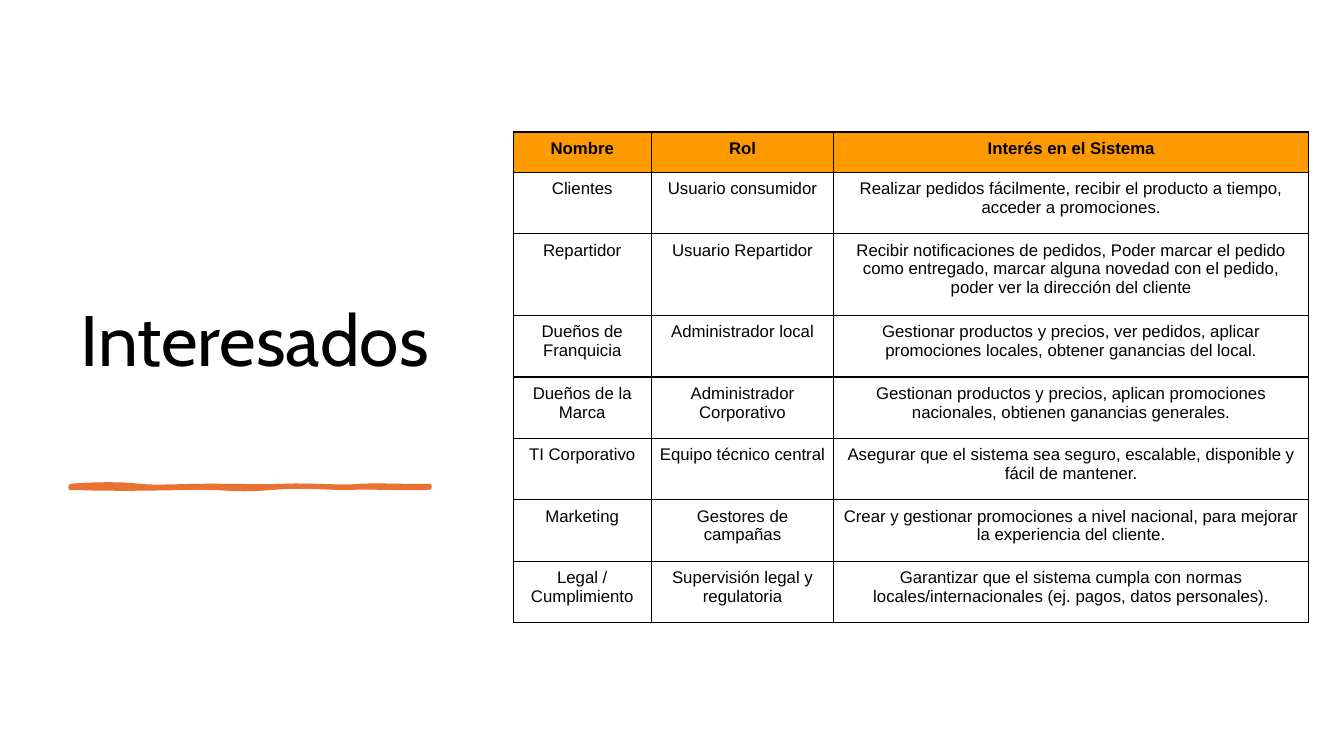
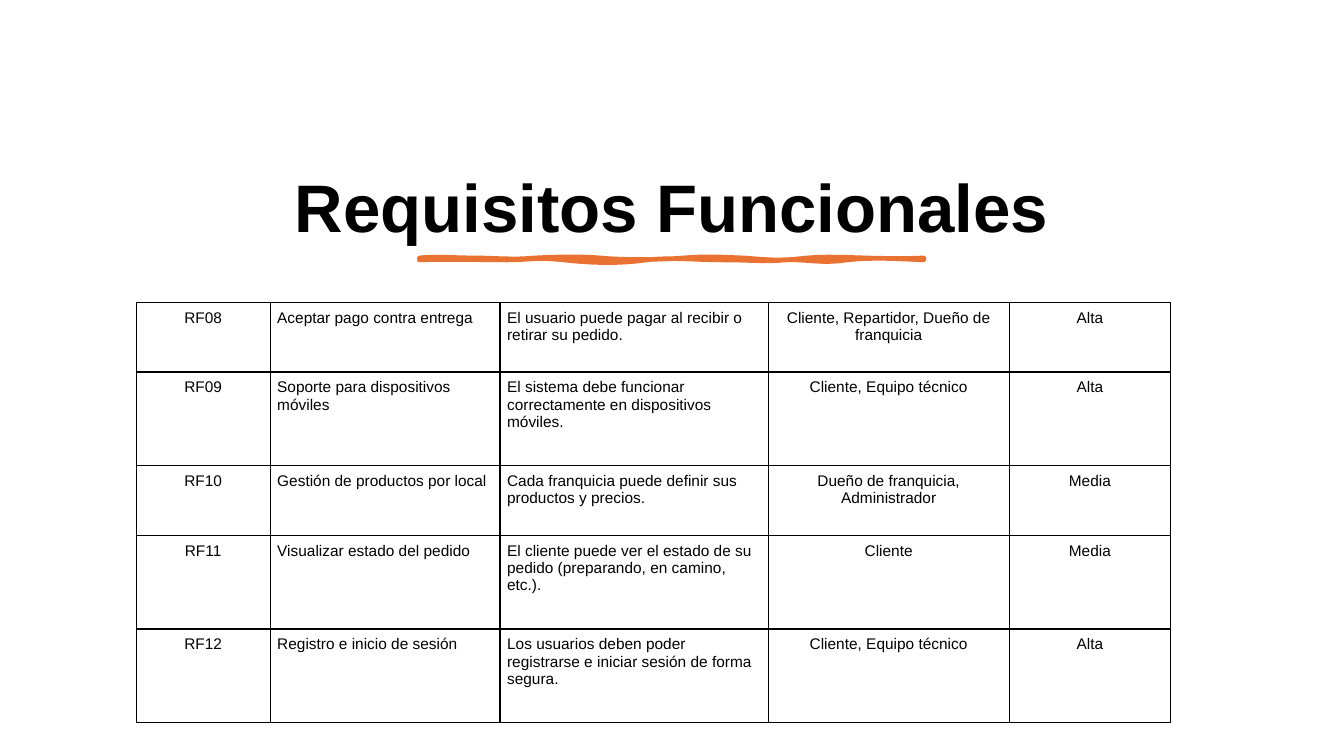
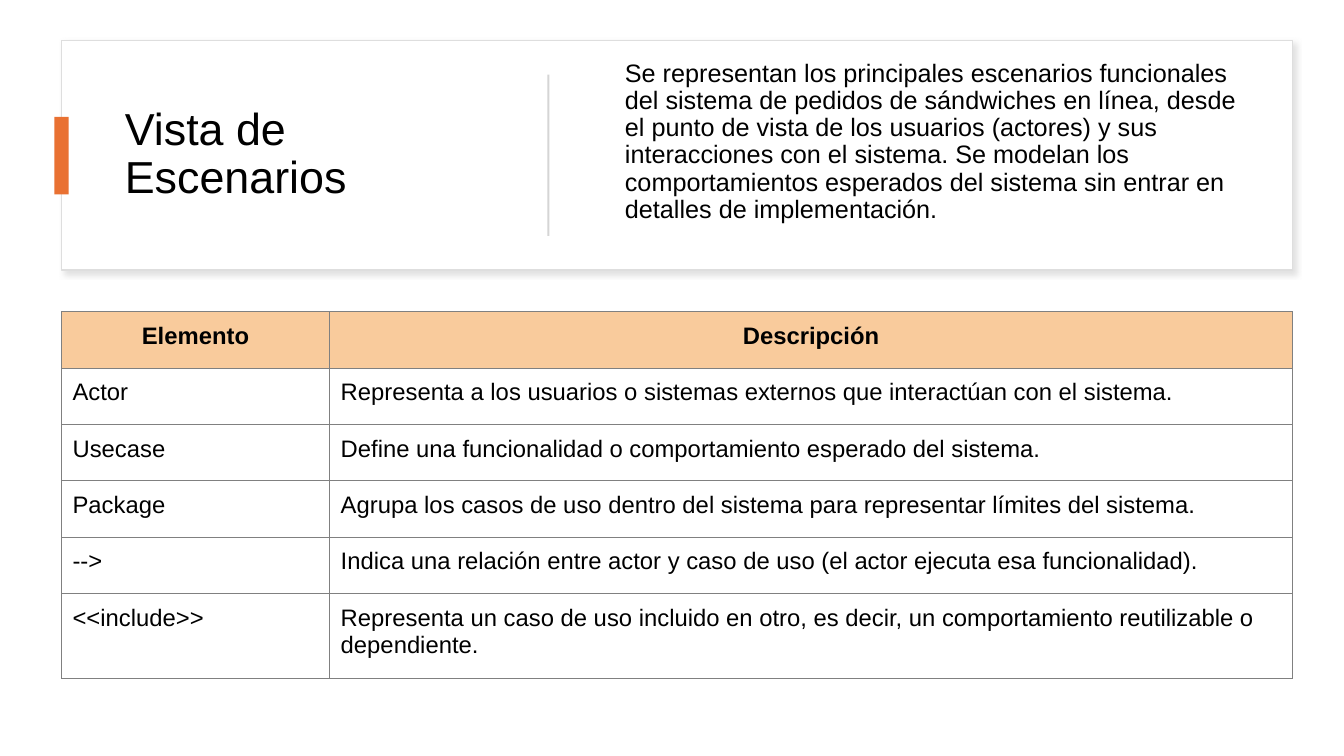
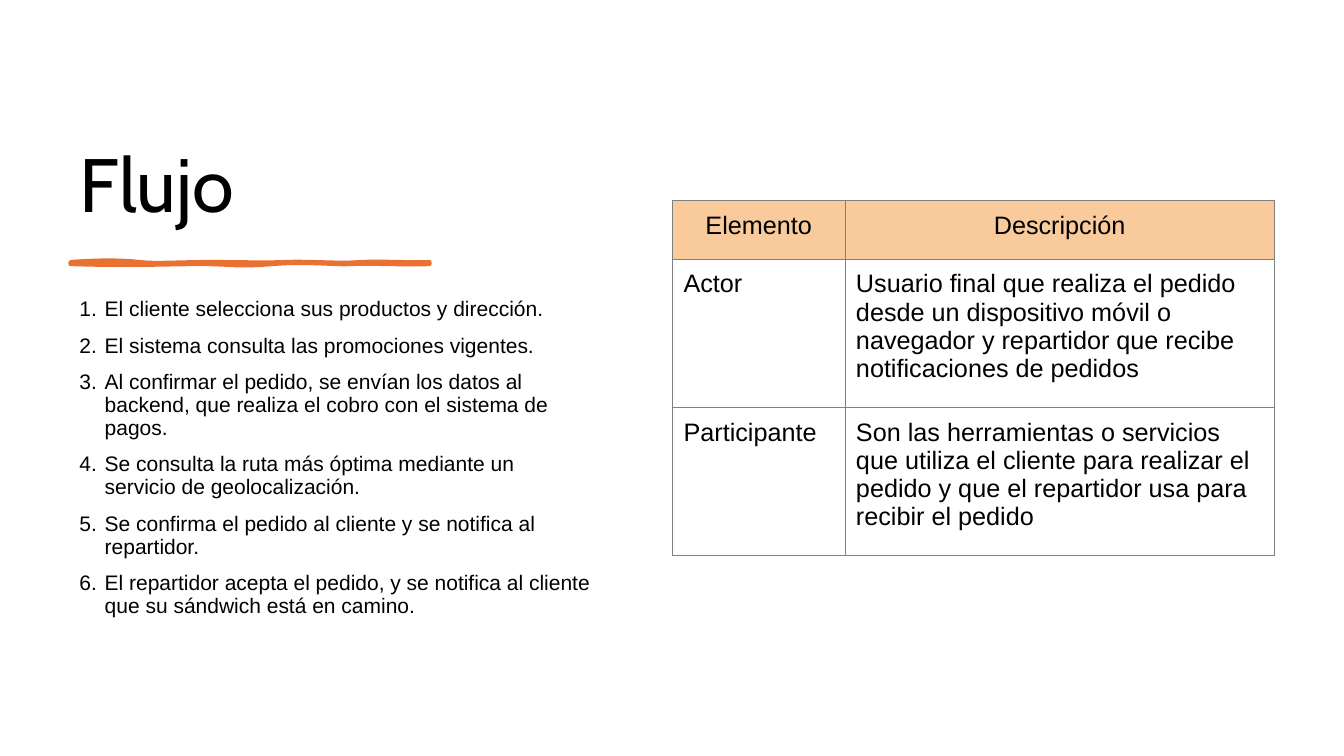
"""Build four slides on the requirements of an online sandwich ordering system."""
import dataclasses
import typing

import lxml.etree
import pptx
import pptx.dml.color
import pptx.enum.shapes
import pptx.enum.text
import pptx.oxml.ns
import pptx.util

Inches = pptx.util.Inches
Pt = pptx.util.Pt
ALIGN = pptx.enum.text.PP_ALIGN
ANCHOR = pptx.enum.text.MSO_ANCHOR

COLORS = {
    "text": "000000",
    "paper": "FFFFFF",
    "accent": "E97132",
    "header_strong": "FF9900",
    "header_soft": "F9CB9C",
    "card_line": "DEDEDE",
    "divider": "D5D5D5",
    "shadow": "C5C5C5",
    "grid_dark": "000000",
    "grid_soft": "808080",
}
TIGHT = 0.9
HANGING = 0.25

Point = tuple[float, float]
Curve = tuple[Point, Point, Point]


class Box(typing.NamedTuple):
    """Position and size in inches."""
    left: float
    top: float
    width: float
    height: float


@dataclasses.dataclass(frozen=True)
class TextSpec:
    """A text box and its typography."""
    box: Box
    paragraphs: list[str]
    size: float
    font: str = "Arial"
    bold: bool = False
    align: ALIGN = ALIGN.LEFT
    anchor: ANCHOR = ANCHOR.BOTTOM
    bottom_inset: float = 0.05
    indent: float = 0
    numbered: bool = False


@dataclasses.dataclass(frozen=True)
class TableSpec:
    """A bordered table and its typography."""
    left: float
    top: float
    columns: list[float]
    row_heights: list[float]
    rows: list[list[str]]
    size: float
    inset: float
    grid: str
    grid_width: float
    centered: tuple[int, ...] = ()
    header: str = ""
    header_bold: bool = True


@dataclasses.dataclass(frozen=True)
class BrushStroke:
    """A hand-drawn underline as Bézier curves from its top left corner."""
    curves: list[Curve]
    weight: float


SHORT_STROKE = BrushStroke([
    ((0.27, -0.02), (0.51, -0.02), (0.68, 0)),
    ((0.85, 0.02), (1.07, 0), (1.39, 0)),
    ((1.71, 0), (1.9, 0.01), (2.14, 0)),
    ((2.38, -0.01), (2.69, 0.02), (2.89, 0)),
    ((3.09, -0.01), (3.42, 0.01), (3.56, 0)),
    ((3.56, 0.01), (3.56, 0.02), (3.56, 0.02)),
    ((3.38, 0.03), (2.94, 0.01), (2.78, 0.02)),
    ((2.62, 0.03), (2.34, -0.01), (2, 0.02)),
    ((1.65, 0.05), (1.61, 0.02), (1.29, 0.02)),
    ((0.96, 0.02), (0.62, 0.04), (0, 0.02)),
], 3)
LONG_STROKE = BrushStroke([
    ((0.12, -0.02), (0.38, 0), (0.57, 0)),
    ((0.76, 0), (0.93, 0.02), (1.13, 0)),
    ((1.33, -0.01), (1.58, -0.02), (1.8, 0)),
    ((2.01, 0.02), (2.37, 0.02), (2.61, 0)),
    ((2.86, -0.02), (2.98, -0.01), (3.23, 0)),
    ((3.47, 0.02), (3.58, 0.03), (3.84, 0)),
    ((4.1, -0.03), (4.51, 0.02), (5, 0)),
    ((5.01, 0.01), (5, 0.01), (5, 0.02)),
    ((4.79, 0.01), (4.49, -0.01), (4.24, 0.02)),
    ((3.99, 0.06), (3.85, 0.01), (3.63, 0.02)),
    ((3.4, 0.04), (3.31, 0.02), (3.01, 0.02)),
    ((2.71, 0.02), (2.51, -0.01), (2.25, 0.02)),
    ((1.98, 0.06), (1.69, 0.05), (1.43, 0.02)),
    ((1.18, -0.01), (1.07, 0.02), (0.87, 0.02)),
    ((0.67, 0.02), (0.22, 0.01), (0, 0.02)),
], 3.25)


def rgb(name: str) -> pptx.dml.color.RGBColor:
    """Return the named colour."""
    return pptx.dml.color.RGBColor.from_string(COLORS[name])


def apply_format(target: typing.Any, values: dict[str, typing.Any]) -> None:
    """Set each format value on the target."""
    for attribute, value in values.items():
        setattr(target, attribute, value)


def add_xml(parent: typing.Any, tag: str, **attributes: str) -> typing.Any:
    """Append a DrawingML element to its parent."""
    return lxml.etree.SubElement(parent, pptx.oxml.ns.qn(tag), attributes)


def style_font(paragraph: typing.Any, name: str, size: float, bold: bool) -> None:
    """Give a paragraph its font."""
    apply_format(paragraph.font, {"name": name, "size": Pt(size), "bold": bold})
    paragraph.font.color.rgb = rgb("text")


def draw_text(slide: typing.Any, spec: TextSpec) -> None:
    """Draw a text box, numbered if asked."""
    frame = slide.shapes.add_textbox(*map(Inches, spec.box)).text_frame
    apply_format(frame, {
        "word_wrap": True,
        "vertical_anchor": spec.anchor,
        "margin_bottom": Inches(spec.bottom_inset),
    })
    for index, text in enumerate(spec.paragraphs):
        paragraph = frame.add_paragraph() if index else frame.paragraphs[0]
        paragraph.text = text
        properties = paragraph._p.get_or_add_pPr()
        properties.set("marL", str(Inches(spec.indent)))
        if spec.numbered:
            properties.set("indent", str(-Inches(spec.indent)))
            add_xml(properties, "a:buAutoNum", type="arabicPeriod")
        apply_format(paragraph, {"alignment": spec.align, "line_spacing": TIGHT})
        if index:
            paragraph.space_before = Pt(10)
        style_font(paragraph, spec.font, spec.size, spec.bold)


def draw_borders(cell: typing.Any, color: str, width: float) -> None:
    """Draw the four borders of a cell."""
    properties = cell._tc.get_or_add_tcPr()
    for index, side in enumerate(("a:lnL", "a:lnR", "a:lnT", "a:lnB")):
        border = add_xml(properties, side, w=str(Pt(width)))
        add_xml(add_xml(border, "a:solidFill"), "a:srgbClr", val=COLORS[color])
        properties.insert(index, border)


def draw_table(slide: typing.Any, spec: TableSpec) -> None:
    """Draw a table with its borders and header."""
    box = Box(spec.left, spec.top, sum(spec.columns), sum(spec.row_heights))
    table = slide.shapes.add_table(
        len(spec.rows), len(spec.columns), *map(Inches, box)).table
    apply_format(table, {"first_row": bool(spec.header), "horz_banding": False})
    for column, width in zip(table.columns, spec.columns):
        column.width = Inches(width)
    for row, height in zip(table.rows, spec.row_heights):
        row.height = Inches(height)
    margins = {f"margin_{side}": Inches(spec.inset)
               for side in ("left", "top", "right", "bottom")}
    for row_index, texts in enumerate(spec.rows):
        is_header = bool(spec.header) and row_index == 0
        for column_index, text in enumerate(texts):
            cell = table.cell(row_index, column_index)
            cell.text = text
            apply_format(cell, margins)
            if is_header:
                cell.fill.solid()
                cell.fill.fore_color.rgb = rgb(spec.header)
            else:
                cell.fill.background()
            draw_borders(cell, spec.grid, spec.grid_width)
            paragraph = cell.text_frame.paragraphs[0]
            is_centered = is_header or column_index in spec.centered
            paragraph.alignment = ALIGN.CENTER if is_centered else ALIGN.LEFT
            style_font(paragraph, "Arial", spec.size, is_header and spec.header_bold)


def draw_block(slide: typing.Any, box: Box, fill: str, line: str = "") -> typing.Any:
    """Draw a plain rectangle."""
    block = slide.shapes.add_shape(
        pptx.enum.shapes.MSO_SHAPE.RECTANGLE, *map(Inches, box))
    block.shadow.inherit = False
    block.fill.solid()
    block.fill.fore_color.rgb = rgb(fill)
    if line:
        block.line.color.rgb = rgb(line)
        block.line.width = Pt(1)
    else:
        block.line.fill.background()
    return block


def draw_card(slide: typing.Any, box: Box) -> None:
    """Draw the white card with its soft shadow."""
    card = draw_block(slide, box, "paper", "card_line")
    effects = card._element.spPr.find(pptx.oxml.ns.qn("a:effectLst"))
    shadow = add_xml(effects, "a:outerShdw", blurRad=str(Pt(4)), dist=str(Pt(3)),
                     dir="2700000", algn="tl", rotWithShape="0")
    color = add_xml(shadow, "a:srgbClr", val=COLORS["shadow"])
    add_xml(color, "a:alpha", val="50000")


def sample_curves(curves: list[Curve], steps: int = 8) -> list[Point]:
    """Return points along joined cubic Bézier curves."""
    start, points = (0.0, 0.0), []
    for first, second, end in curves:
        for step in range(1, steps + 1):
            t = step / steps
            u = 1 - t
            points.append(tuple(
                u ** 3 * a + 3 * u * u * t * b + 3 * u * t * t * c + t ** 3 * d
                for a, b, c, d in zip(start, first, second, end)))
        start = end
    return points


def draw_stroke(slide: typing.Any, left: float, top: float, stroke: BrushStroke) -> None:
    """Draw a brush stroke underline."""
    builder = slide.shapes.build_freeform(Inches(left), Inches(top))
    builder.add_line_segments(
        [(Inches(left + x), Inches(top + y)) for x, y in sample_curves(stroke.curves)])
    underline = builder.convert_to_shape()
    underline.shadow.inherit = False
    underline.fill.solid()
    underline.fill.fore_color.rgb = rgb("accent")
    underline.line.color.rgb = rgb("accent")
    underline.line.width = Pt(stroke.weight)


def build_stakeholders(slide: typing.Any) -> None:
    """Build the stakeholders slide."""
    draw_text(slide, TextSpec(Box(0.7, 0.7, 3.91, 3.91), ["Interesados"], 51,
                              font="Cabin", bottom_inset=0.82))
    draw_stroke(slide, 0.7, 4.82, SHORT_STROKE)
    draw_table(slide, TableSpec(
        5.09, 1.31, [1.37, 1.81, 4.71], [0.4, 0.61, 0.81] + [0.61] * 5, [
            ["Nombre", "Rol", "Interés en el Sistema"],
            ["Clientes", "Usuario consumidor",
             "Realizar pedidos fácilmente, recibir el producto a tiempo, "
             "acceder a promociones."],
            ["Repartidor", "Usuario Repartidor",
             "Recibir notificaciones de pedidos, Poder marcar el pedido como "
             "entregado, marcar alguna novedad con el pedido, poder ver la "
             "dirección del cliente"],
            ["Dueños de Franquicia", "Administrador local",
             "Gestionar productos y precios, ver pedidos, aplicar promociones "
             "locales, obtener ganancias del local."],
            ["Dueños de la Marca", "Administrador Corporativo",
             "Gestionan productos y precios, aplican promociones nacionales, "
             "obtienen ganancias generales."],
            ["TI Corporativo", "Equipo técnico central",
             "Asegurar que el sistema sea seguro, escalable, disponible y "
             "fácil de mantener."],
            ["Marketing", "Gestores de campañas",
             "Crear y gestionar promociones a nivel nacional, para mejorar la "
             "experiencia del cliente."],
            ["Legal / Cumplimiento", "Supervisión legal y regulatoria",
             "Garantizar que el sistema cumpla con normas "
             "locales/internacionales (ej. pagos, datos personales)."],
        ], size=12, inset=0.07, grid="grid_dark", grid_width=1,
        centered=(0, 1, 2), header="header_strong"))


def build_requirements(slide: typing.Any) -> None:
    """Build the functional requirements slide."""
    draw_text(slide, TextSpec(Box(0.7, 0.5, 11.93, 2), ["Requisitos Funcionales"], 48,
                              bold=True, align=ALIGN.CENTER))
    draw_stroke(slide, 4.16, 2.56, LONG_STROKE)
    draw_table(slide, TableSpec(
        1.35, 3, [1.33, 2.28, 2.66, 2.39, 1.6], [0.69, 0.93, 0.69, 0.93, 0.93], [
            ["RF08", "Aceptar pago contra entrega",
             "El usuario puede pagar al recibir o retirar su pedido.",
             "Cliente, Repartidor, Dueño de franquicia", "Alta"],
            ["RF09", "Soporte para dispositivos móviles",
             "El sistema debe funcionar correctamente en dispositivos móviles.",
             "Cliente, Equipo técnico", "Alta"],
            ["RF10", "Gestión de productos por local",
             "Cada franquicia puede definir sus productos y precios.",
             "Dueño de franquicia, Administrador", "Media"],
            ["RF11", "Visualizar estado del pedido",
             "El cliente puede ver el estado de su pedido (preparando, en "
             "camino, etc.).", "Cliente", "Media"],
            ["RF12", "Registro e inicio de sesión",
             "Los usuarios deben poder registrarse e iniciar sesión de forma "
             "segura.", "Cliente, Equipo técnico", "Alta"],
        ], size=11, inset=0.07, grid="grid_dark", grid_width=1, centered=(0, 3, 4)))


def build_scenarios(slide: typing.Any) -> None:
    """Build the scenarios view slide."""
    draw_card(slide, Box(0.61, 0.4, 12.21, 2.28))
    draw_text(slide, TextSpec(Box(1.14, 0.64, 3.89, 1.8), ["Vista de Escenarios"], 32,
                              anchor=ANCHOR.MIDDLE))
    draw_block(slide, Box(0.54, 1.16, 0.14, 0.77), "accent")
    draw_block(slide, Box(5.43, 0.74, 0.02, 1.6), "divider")
    draw_text(slide, TextSpec(Box(5.85, 0.51, 6.56, 1.8), [
        "Se representan los principales escenarios funcionales del sistema de "
        "pedidos de sándwiches en línea, desde el punto de vista de los usuarios "
        "(actores) y sus interacciones con el sistema. Se modelan los "
        "comportamientos esperados del sistema sin entrar en detalles de "
        "implementación."], 18, anchor=ANCHOR.MIDDLE, indent=HANGING))
    draw_table(slide, TableSpec(
        0.61, 3.09, [2.66, 9.55], [0.56] * 5 + [0.84], [
            ["Elemento", "Descripción"],
            ["Actor", "Representa a los usuarios o sistemas externos que "
             "interactúan con el sistema."],
            ["Usecase", "Define una funcionalidad o comportamiento esperado del "
             "sistema."],
            ["Package", "Agrupa los casos de uso dentro del sistema para "
             "representar límites del sistema."],
            ["-->", "Indica una relación entre actor y caso de uso (el actor "
             "ejecuta esa funcionalidad)."],
            ["<<include>>", "Representa un caso de uso incluido en otro, es decir, "
             "un comportamiento reutilizable o dependiente."],
        ], size=17, inset=0.11, grid="grid_soft", grid_width=0.5,
        header="header_soft"))


def build_flow(slide: typing.Any) -> None:
    """Build the flow slide."""
    draw_text(slide, TextSpec(Box(0.69, 0.7, 5.27, 1.62), ["Flujo"], 54, font="Cabin"))
    draw_stroke(slide, 0.7, 2.6, SHORT_STROKE)
    draw_text(slide, TextSpec(Box(0.69, 2.91, 5.27, 3.88), [
        "El cliente selecciona sus productos y dirección.",
        "El sistema consulta las promociones vigentes.",
        "Al confirmar el pedido, se envían los datos al backend, que realiza el "
        "cobro con el sistema de pagos.",
        "Se consulta la ruta más óptima mediante un servicio de geolocalización.",
        "Se confirma el pedido al cliente y se notifica al repartidor.",
        "El repartidor acepta el pedido, y se notifica al cliente que su sándwich "
        "está en camino.",
    ], 15, anchor=ANCHOR.TOP, indent=HANGING, numbered=True))
    draw_table(slide, TableSpec(
        6.67, 1.99, [1.71, 4.26], [0.58, 1.47, 1.47], [
            ["Elemento", "Descripción"],
            ["Actor", "Usuario final que realiza el pedido desde un dispositivo "
             "móvil o navegador y repartidor que recibe notificaciones de pedidos"],
            ["Participante", "Son las herramientas o servicios que utiliza el "
             "cliente para realizar el pedido y que el repartidor usa para recibir "
             "el pedido"],
        ], size=18, inset=0.11, grid="grid_soft", grid_width=0.5,
        header="header_soft", header_bold=False))


def main() -> None:
    """Build and save the presentation."""
    presentation = pptx.Presentation()
    apply_format(presentation, {"slide_width": Inches(13.33),
                                "slide_height": Inches(7.5)})
    blank = presentation.slide_layouts[6]
    for build in (build_stakeholders, build_requirements, build_scenarios, build_flow):
        build(presentation.slides.add_slide(blank))
    presentation.save("out.pptx")


if __name__ == "__main__":
    main()
